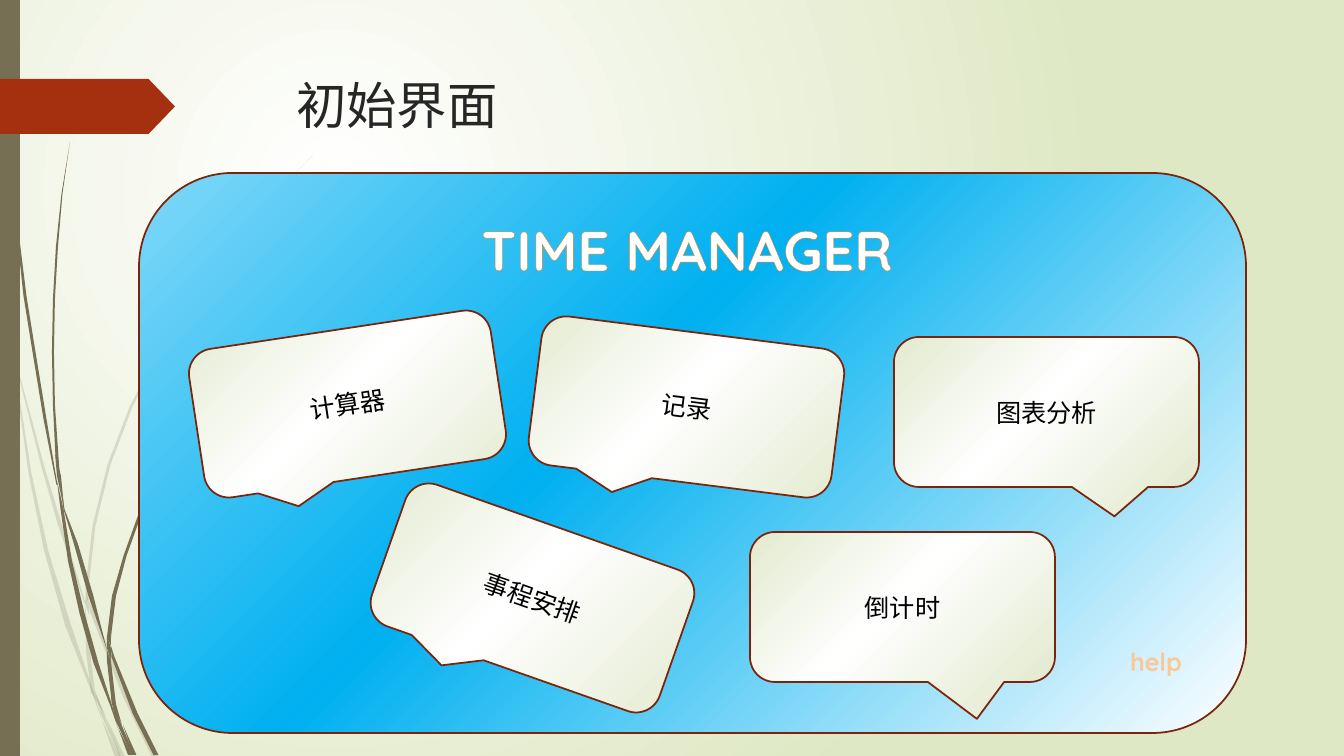
from lxml.etree import SubElement
from pptx import Presentation
from pptx.dml.color import RGBColor
from pptx.enum.shapes import MSO_SHAPE as Preset
from pptx.enum.text import MSO_ANCHOR as Anchor, PP_ALIGN as Align
from pptx.oxml import parse_xml
from pptx.oxml.ns import nsdecls, qn
from pptx.util import Emu, Pt

SCALE = 12192000 / 1344
FONT = "Quicksand"
OLIVE = RGBColor(0x76, 0x6F, 0x54)
RED = RGBColor(0xA5, 0x30, 0x10)
MAROON = RGBColor(0x7A, 0x24, 0x0C)
CHARCOAL = RGBColor(0x26, 0x26, 0x26)
BLACK = RGBColor(0, 0, 0)
WHITE = RGBColor(0xFF, 0xFF, 0xFF)
ORANGE = RGBColor(0xDE, 0x7E, 0x18)
PEACH = RGBColor(0xF8, 0xC8, 0x98)
SAGE = RGBColor(0xDF, 0xE8, 0xC4)
PALE_SAGE = RGBColor(0xE3, 0xEA, 0xCF)
SKY = RGBColor(0x00, 0xB0, 0xF0)
PALE_SKY = RGBColor(0x80, 0xD8, 0xF8)

PANEL_STOPS = [(0, WHITE), (58, SKY), (100, PALE_SKY)]
BUBBLE_STOPS = [(0, PALE_SAGE), (53, WHITE), (100, PALE_SAGE)]


def px(*lengths):
    return [Emu(round(length * SCALE)) for length in lengths]


def set_gradient(fill, element, stops, focus):
    fill.gradient()
    gradient = next(element.iter(qn("a:gradFill")))
    for child in list(gradient):
        gradient.remove(child)
    stop_list = SubElement(gradient, qn("a:gsLst"))
    for position, color in stops:
        stop = SubElement(stop_list, qn("a:gs"), pos=str(position * 1000))
        SubElement(stop, qn("a:srgbClr"), val=str(color))
    circle = SubElement(gradient, qn("a:path"), path="circle")
    sides = {side: str(value * 1000) for side, value in zip("ltrb", focus)}
    SubElement(circle, qn("a:fillToRect"), **sides)


presentation = Presentation()
presentation.slide_width, presentation.slide_height = px(1344, 756)
slide = presentation.slides.add_slide(presentation.slide_layouts[5])
shapes = slide.shapes
set_gradient(slide.background.fill, slide.background._cSld,
             [(0, WHITE), (100, SAGE)], (50, 50, 100, 100))

pale_blades = [
    [(0, 284, 0), (1, 300, 2), (10, 336, 1), (11, 353, 0)],
    [(14, 348, 0), (16, 363, 1), (43, 467, 3), (60, 525, 4), (85, 603, 1)],
    [(89, 601, 0), (92, 612, 4), (126, 698, 5), (154, 756, 5)],
    [(106, 717, 0), (122, 756, 5)],
    [(11, 353, 0), (16, 379, 1), (30, 473, 3), (46, 550, 4), (68, 625, 6),
     (93, 693, 2), (102, 720, 0)],
    [(85, 604, 0), (88, 651, 4), (93, 692, 4), (106, 717, 0)],
    [(314, 154, 0), (270, 199, 1), (230, 246, 2), (192, 297, 2),
     (160, 351, 2), (131, 407, 3), (109, 465, 3), (94, 526, 3),
     (87, 589, 3), (88, 601, 1)],
    [(102, 720, 0), (117, 756, 5)],
    [(86, 591, 0), (87, 603, 4), (89, 615, 0)],
    [(94, 688, 0), (102, 713, 3), (120, 756, 1)],
]
dark_blades = [
    [(4, 0, 1), (8, 110, 1), (18, 235, 2), (25, 296, 3), (35, 358, 3),
     (45, 419, 3), (57, 485, 1)],
    [(60, 476, 0), (64, 509, 1), (76, 544, 4), (91, 596, 5), (107, 650, 0)],
    [(111, 646, 0), (113, 657, 3), (135, 713, 5), (156, 755, 5)],
    [(57, 481, 0), (62, 509, 3), (70, 561, 4), (82, 613, 5), (96, 663, 5),
     (111, 705, 2), (118, 728, 0)],
    [(70, 142, 0), (62, 194, 1), (57, 247, 2), (54, 299, 2), (53, 352, 2),
     (54, 405, 2), (57, 456, 3), (60, 476, 0)],
    [(123, 725, 0), (135, 755, 3)],
    [(55, 453, 0), (59, 476, 4), (64, 509, 0)],
    [(263, 347, 0), (233, 376, 1), (206, 409, 2), (180, 443, 2),
     (158, 479, 2), (139, 517, 3), (125, 556, 3), (114, 596, 4),
     (109, 637, 4), (111, 646, 0)],
    [(118, 728, 0), (130, 755, 4)],
    [(107, 650, 0), (109, 661, 4), (114, 704, 4), (122, 725, 0)],
    [(107, 636, 0), (109, 648, 4), (111, 661, 0)],
    [(111, 697, 0), (117, 719, 4), (133, 755, 3)],
]
blades = [(20, points) for points in pale_blades]
blades += [(100, points) for points in dark_blades]
for opacity, points in blades:
    outline = [(x - width / 2, y) for x, y, width in points]
    outline += [(x + width / 2, y) for x, y, width in reversed(points)]
    builder = shapes.build_freeform(*px(*outline[0]))
    builder.add_line_segments([px(*point) for point in outline[1:]])
    blade = builder.convert_to_shape()
    blade.shadow.inherit = False
    blade.line.fill.background()
    blade.fill.solid()
    blade.fill.fore_color.rgb = OLIVE
    color = next(blade._element.spPr.iter(qn("a:srgbClr")))
    SubElement(color, qn("a:alpha"), val=str(opacity * 1000))

for preset, box, color in [
    (Preset.RECTANGLE, (0, 0, 20, 756), OLIVE),
    (Preset.PENTAGON, (0, 79, 175, 55), RED),
]:
    band = shapes.add_shape(preset, *px(*box))
    band.shadow.inherit = False
    band.line.fill.background()
    band.fill.solid()
    band.fill.fore_color.rgb = color
band.adjustments[0] = 0.48

title = shapes.title
title.left, title.top, title.width, title.height = px(286, 69, 983, 141)
title.text_frame.vertical_anchor = Anchor.TOP

default_tail = (-0.208, 0.625, 0.167)
bubble_size = (305, 150)
panels = [
    (Preset.ROUNDED_RECTANGLE, (139, 173, 1107, 560), 0, (0.167,), PANEL_STOPS, ""),
]
for left, top, rotation, tail, label in [
    (195, 329, 351.4, default_tail, "计算器"),
    (894, 337, 0, (0.223, 0.696, 0.167), "图表分析"),
    (534, 332, 7.2, default_tail, "记录"),
    (380, 523, 19.4, default_tail, "事程安排"),
    (750, 532, 0, (0.244, 0.746, 0.167), "倒计时"),
]:
    panels.append((Preset.ROUNDED_RECTANGULAR_CALLOUT, (left, top, *bubble_size),
                   rotation, tail, BUBBLE_STOPS, label))

texts = [(title, "初始界面", 36, CHARCOAL, False, Align.LEFT)]
for preset, box, rotation, adjustments, stops, label in panels:
    panel = shapes.add_shape(preset, *px(*box))
    panel.shadow.inherit = False
    panel.rotation = rotation
    for index, value in enumerate(adjustments):
        panel.adjustments[index] = value
    set_gradient(panel.fill, panel._element.spPr, stops, (100, 100, 0, 0))
    panel.line.color.rgb = MAROON
    panel.line.width = Pt(1.25)
    if label:
        panel.text_frame.vertical_anchor = Anchor.MIDDLE
        texts.append((panel, label, 18, BLACK, False, Align.CENTER))

for box, label, size, color in [
    ((382, 210, 610, 78), "TIME MANAGER", 40, WHITE),
    ((1111, 641, 90, 37), "help", 18, PEACH),
]:
    caption = shapes.add_textbox(*px(*box))
    caption.text_frame.word_wrap = True
    texts.append((caption, label, size, color, True, Align.CENTER))

for shape, label, size, color, bold, alignment in texts:
    paragraph = shape.text_frame.paragraphs[0]
    paragraph.alignment = alignment
    run = paragraph.add_run()
    run.text = label
    run.font.name = FONT
    run.font.size = Pt(size)
    run.font.bold = bold
    run.font.color.rgb = color
    if size == 40:
        run._r.get_or_add_rPr().insert(0, parse_xml(
            f'<a:ln {nsdecls("a")} w="6604"><a:solidFill>'
            f'<a:srgbClr val="{ORANGE}"/></a:solidFill></a:ln>'))

presentation.save("out.pptx")
